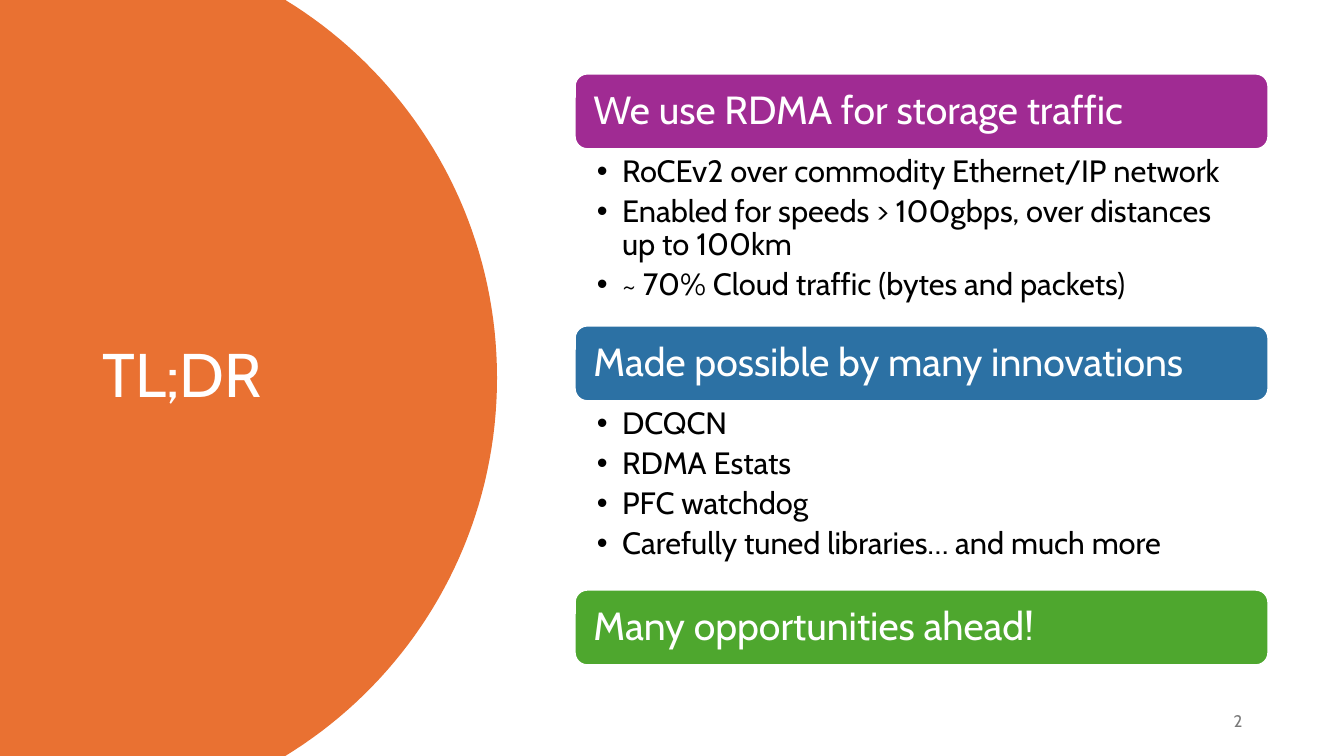
from lxml.etree import SubElement
from pptx import Presentation
from pptx.dml.color import RGBColor
from pptx.enum.shapes import MSO_SHAPE
from pptx.enum.text import MSO_ANCHOR, PP_ALIGN
from pptx.oxml.ns import qn
from pptx.util import Emu, Pt

PX = 9144  # 100 px to the inch
FONT = "Cabin"
COLORS = {
    "white": "FFFFFF",
    "black": "000000",
    "gray": "797979",
    "orange": "E97132",
    "purple": "A02B93",
    "blue": "2C71A4",
    "green": "4EA72E",
}

COLUMN_LEFT, COLUMN_WIDTH, BAR_HEIGHT, BAR_GAP = 570, 688, 75, 3
SECTIONS = [
    (73, "purple", "We use RDMA for storage traffic", [
        "RoCEv2 over commodity Ethernet/IP network",
        "Enabled for speeds > 100gbps, over distances up to 100km",
        "~ 70% Cloud traffic (bytes and packets)",
    ]),
    (323, "blue", "Made possible by many innovations", [
        "DCQCN",
        "RDMA Estats",
        "PFC watchdog",
        "Carefully tuned libraries… and much more",
    ]),
    (585, "green", "Many opportunities ahead!", []),
]


def px(length):
    return Emu(round(length * PX))


def rgb(name):
    return RGBColor.from_string(COLORS[name])


def add_bullet(paragraph, indent):
    properties = paragraph._p.get_or_add_pPr()
    properties.set("marL", str(px(indent)))
    properties.set("indent", str(-px(indent)))
    SubElement(properties, qn("a:buFont")).set("typeface", "Arial")
    SubElement(properties, qn("a:buChar")).set("char", "•")


def write_text(frame, text, size, color, align=PP_ALIGN.LEFT, anchor=MSO_ANCHOR.MIDDLE,
               insets=(10, 5), line_spacing=0.9, space_after=0, bullet_indent=0):
    """Fill a text frame, one paragraph per line; insets are (sides, top and bottom)."""
    frame.word_wrap = True
    frame.vertical_anchor = anchor
    frame.margin_left = frame.margin_right = px(insets[0])
    frame.margin_top = frame.margin_bottom = px(insets[1])
    for index, line in enumerate(text.split("\n")):
        paragraph = frame.add_paragraph() if index else frame.paragraphs[0]
        if bullet_indent:
            add_bullet(paragraph, bullet_indent)
        paragraph.alignment = align
        paragraph.line_spacing = line_spacing
        paragraph.space_after = Pt(space_after)
        run = paragraph.add_run()
        run.text = line
        run.font.name = FONT
        run.font.size = Pt(size)
        run.font.color.rgb = rgb(color)


def add_text(slide, left, top, width, height, text, **text_format):
    box = slide.shapes.add_textbox(px(left), px(top), px(width), px(height))
    write_text(box.text_frame, text, **text_format)


def curve_points(start, control_1, control_2, end, steps=40):
    """Points along a cubic Bézier curve, without its start."""
    points = []
    for step in range(1, steps + 1):
        t = step / steps
        weights = ((1 - t) ** 3, 3 * t * (1 - t) ** 2, 3 * t * t * (1 - t), t ** 3)
        points.append(tuple(
            px(sum(w * value for w, value in zip(weights, axis)))
            for axis in zip(start, control_1, control_2, end)
        ))
    return points


def add_title_panel(slide):
    upper_arc = curve_points((283, 0), (409, 77), (493, 216), (493, 375))
    lower_arc = curve_points((493, 375), (493, 534), (409, 673), (283, 750))
    outline = slide.shapes.build_freeform(0, 0)
    outline.add_line_segments(
        [(px(283), 0), *upper_arc, *lower_arc, (0, px(750))], close=True)
    panel = outline.convert_to_shape()
    panel.shadow.inherit = False
    panel.fill.solid()
    panel.fill.fore_color.rgb = rgb("orange")
    panel.line.fill.background()


def add_heading_bar(slide, top, color, heading):
    bar = slide.shapes.add_shape(
        MSO_SHAPE.ROUNDED_RECTANGLE,
        px(COLUMN_LEFT), px(top), px(COLUMN_WIDTH), px(BAR_HEIGHT))
    bar.shadow.inherit = False
    bar.fill.solid()
    bar.fill.fore_color.rgb = rgb(color)
    bar.line.color.rgb = rgb("white")
    bar.line.width = Pt(1.5)
    write_text(bar.text_frame, heading, size=28, color="white", insets=(15, 12))


def add_section(slide, top, color, heading, points):
    add_heading_bar(slide, top, color, heading)
    if points:
        add_text(slide, COLUMN_LEFT, top + BAR_HEIGHT + BAR_GAP, COLUMN_WIDTH, 160,
                 "\n".join(points), size=22, color="black", anchor=MSO_ANCHOR.TOP,
                 insets=(22, 4), space_after=4.7, bullet_indent=25)


def main():
    presentation = Presentation()
    presentation.slide_width, presentation.slide_height = px(1333), px(750)
    slide = presentation.slides.add_slide(presentation.slide_layouts[6])

    add_title_panel(slide)
    add_text(slide, 92, 70, 323, 609, "TL;DR", size=44, color="white")
    for section in SECTIONS:
        add_section(slide, *section)
    add_text(slide, 942, 695, 300, 40, "2", size=12, color="gray",
             align=PP_ALIGN.RIGHT, line_spacing=1.0)

    presentation.save("out.pptx")


if __name__ == "__main__":
    main()
